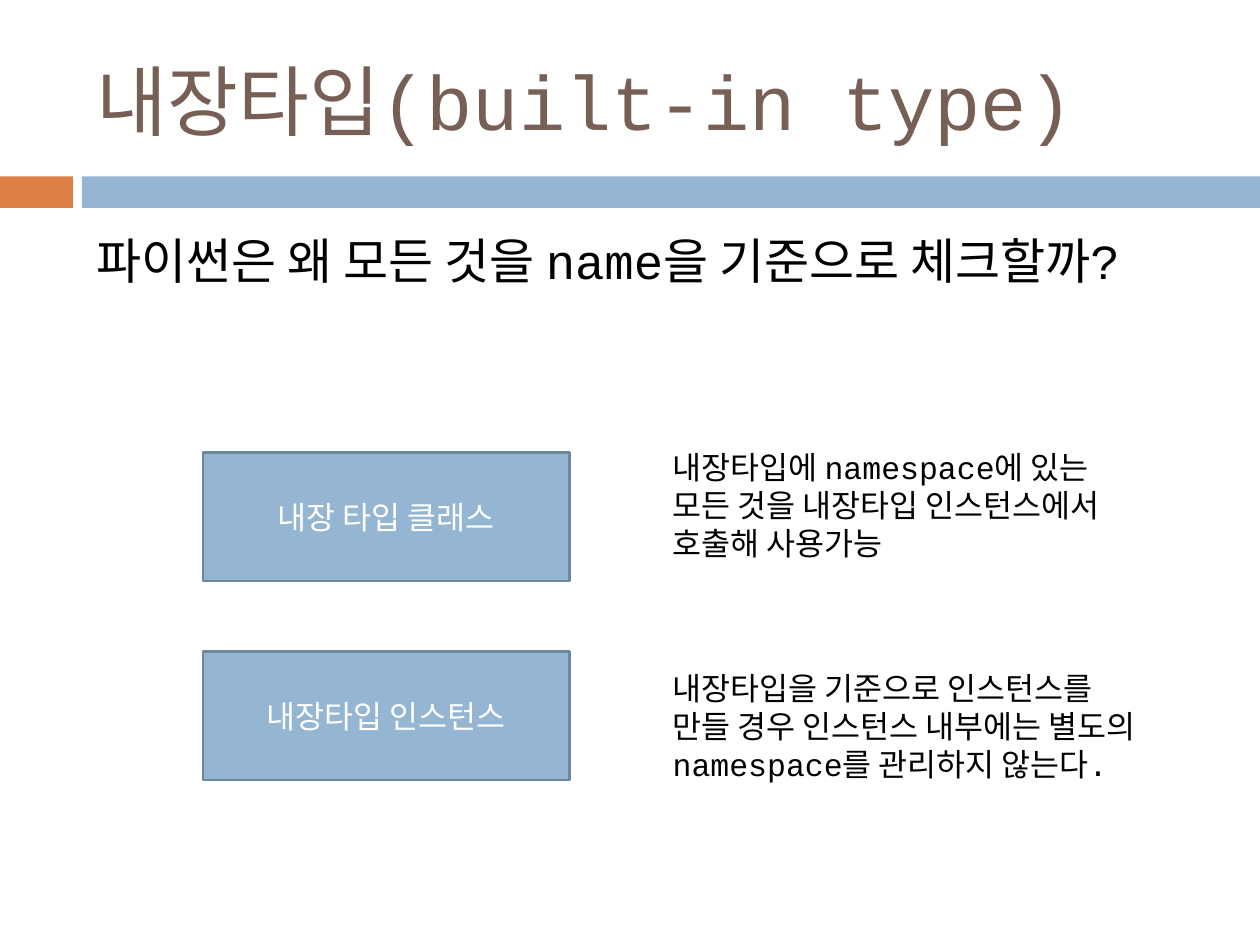
from dataclasses import dataclass

from pptx import Presentation
from pptx.dml.color import RGBColor
from pptx.enum.shapes import MSO_SHAPE
from pptx.enum.text import MSO_ANCHOR, PP_ALIGN
from pptx.util import Inches, Pt

RECTANGLE = MSO_SHAPE.RECTANGLE
TOP, MIDDLE = MSO_ANCHOR.TOP, MSO_ANCHOR.MIDDLE
LEFT, CENTER = PP_ALIGN.LEFT, PP_ALIGN.CENTER
BLANK_LAYOUT = 6


@dataclass(frozen=True)
class Theme:
    font: str = "Courier New"
    title_size: int = 44
    question_size: int = 28
    body_size: int = 18
    title: str = "775F55"
    text: str = "000000"
    box_text: str = "FFFFFF"
    accent: str = "DD8047"
    blue: str = "94B6D2"
    outline: str = "6D879B"


THEME = Theme()
WIDTH, HEIGHT = 10, 7.5
MARGIN = 0.67
BAND_TOP, BAND_HEIGHT = 1.4, 0.25
BOX_LEFT, BOX_WIDTH, BOX_HEIGHT = 1.61, 2.91, 1.02
BOX_TOP, ROW_PITCH = 3.59, 1.58
NOTE_LEFT, NOTE_WIDTH = 5.24, 3.94

# Box label, note text, note top and note height
ROWS = [
    ("내장 타입 클래스",
     "내장타입에 namespace에 있는 모든 것을 내장타입 인스턴스에서 호출해 사용가능",
     3.51, 1.01),
    ("내장타입 인스턴스",
     "내장타입을 기준으로 인스턴스를 만들 경우 인스턴스 내부에는 별도의 namespace를 관리하지 않는다.",
     5.26, 1.31),
]


def write(shape, text, size, color, anchor=TOP, alignment=LEFT):
    frame = shape.text_frame
    frame.word_wrap = True
    frame.vertical_anchor = anchor
    paragraph = frame.paragraphs[0]
    paragraph.text = text
    paragraph.alignment = alignment
    paragraph.font.name = THEME.font
    paragraph.font.size = Pt(size)
    paragraph.font.color.rgb = RGBColor.from_string(color)


def add_text(slide, bounds, text, size, color, anchor=TOP):
    shape = slide.shapes.add_textbox(*map(Inches, bounds))
    write(shape, text, size, color, anchor)


def add_rectangle(slide, bounds, fill, outline=None):
    shape = slide.shapes.add_shape(RECTANGLE, *map(Inches, bounds))
    shape.shadow.inherit = False
    shape.fill.solid()
    shape.fill.fore_color.rgb = RGBColor.from_string(fill)
    if outline:
        shape.line.color.rgb = RGBColor.from_string(outline)
        shape.line.width = Pt(1.5)
    else:
        shape.line.fill.background()
    return shape


def add_header(slide):
    band_left = 0.65
    add_rectangle(slide, (0, BAND_TOP, 0.58, BAND_HEIGHT), THEME.accent)
    add_rectangle(slide, (band_left, BAND_TOP, WIDTH - band_left, BAND_HEIGHT), THEME.blue)
    add_text(slide, (MARGIN, 0.25, 8.92, 1.08), "내장타입(built-in type)",
             THEME.title_size, THEME.title, MIDDLE)


def add_row(slide, index, label, note, note_top, note_height):
    top = BOX_TOP + index * ROW_PITCH
    box = add_rectangle(slide, (BOX_LEFT, top, BOX_WIDTH, BOX_HEIGHT),
                        THEME.blue, THEME.outline)
    write(box, label, THEME.body_size, THEME.box_text, MIDDLE, CENTER)
    add_text(slide, (NOTE_LEFT, note_top, NOTE_WIDTH, note_height), note,
             THEME.body_size, THEME.text)


def main():
    presentation = Presentation()
    presentation.slide_width = Inches(WIDTH)
    presentation.slide_height = Inches(HEIGHT)
    slide = presentation.slides.add_slide(presentation.slide_layouts[BLANK_LAYOUT])
    add_header(slide)
    add_text(slide, (MARGIN, 1.78, 8.74, 1.04),
             "파이썬은 왜 모든 것을 name을 기준으로 체크할까?",
             THEME.question_size, THEME.text)
    for index, row in enumerate(ROWS):
        add_row(slide, index, *row)
    presentation.save("out.pptx")


if __name__ == "__main__":
    main()
